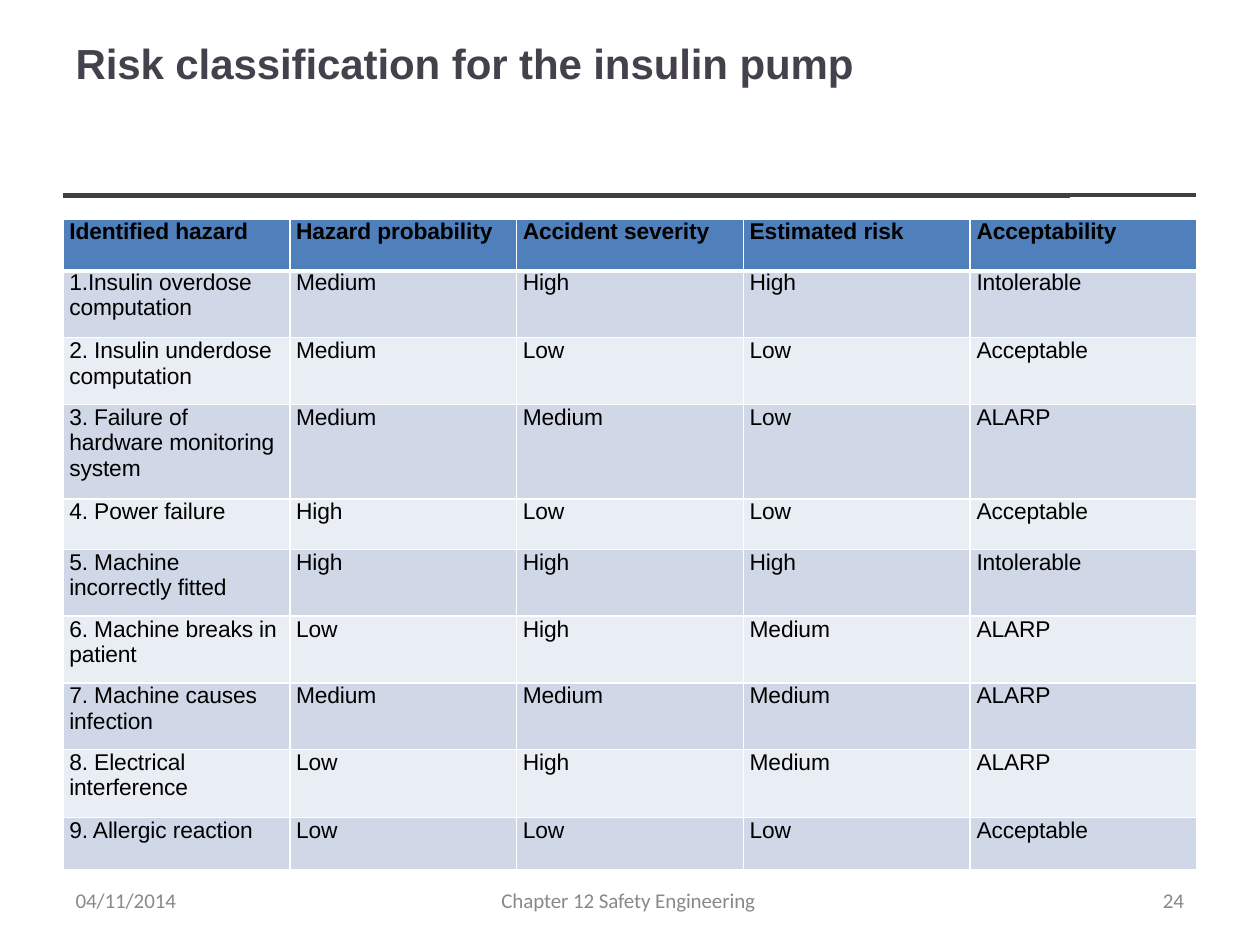
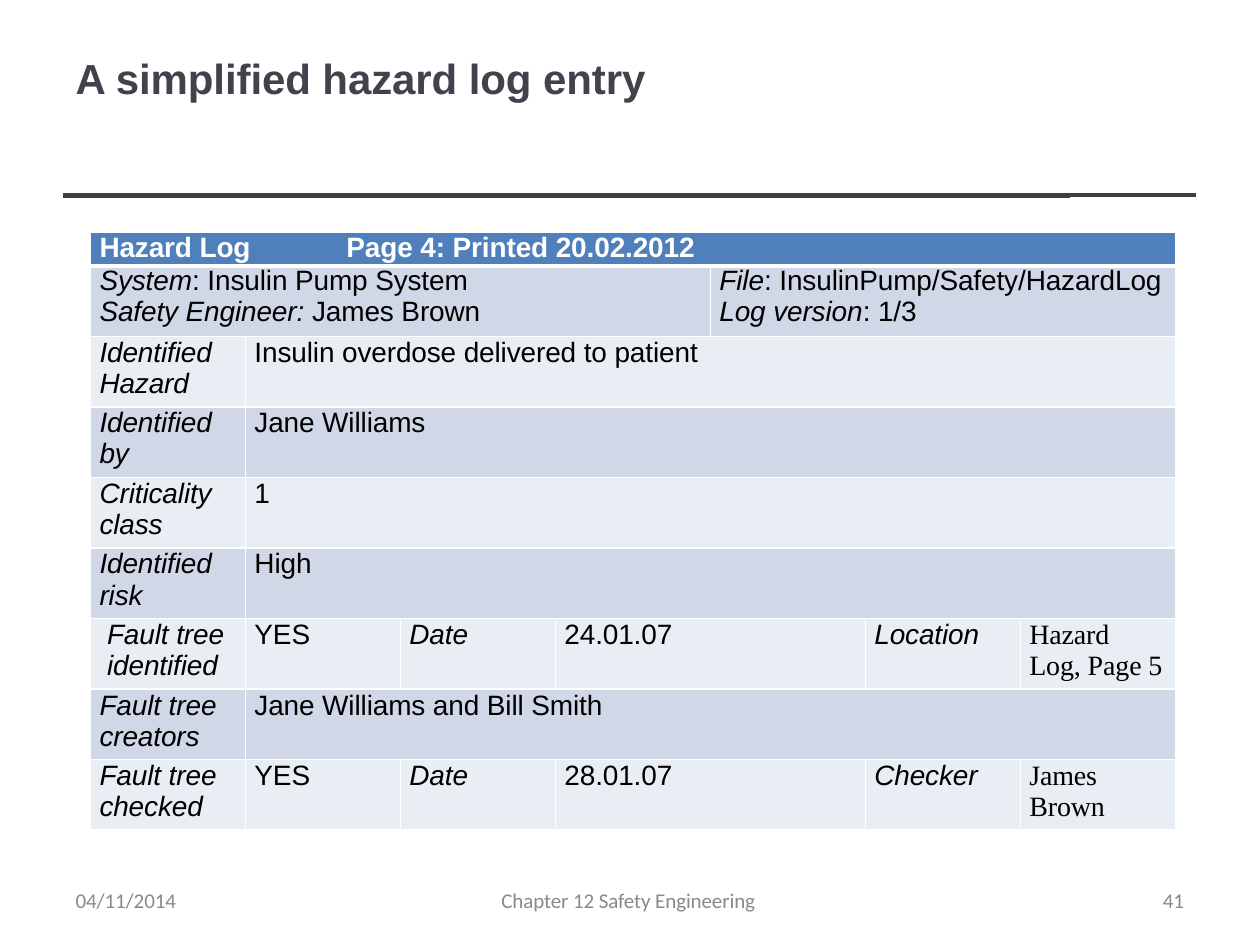
from pptx import Presentation
from pptx.dml.color import RGBColor
from pptx.enum.shapes import MSO_CONNECTOR as Link
from pptx.enum.text import MSO_ANCHOR as Anchor, PP_ALIGN as Align
from pptx.oxml.ns import qn
from pptx.util import Inches, Pt
from lxml.etree import SubElement as Sub

INK, WHITE, GREY = "000000", "FFFFFF", "898989"
HEAD, DARK, PALE = "4F80BC", "D0D8E8", "E9EDF4"
TITLE, RULE = "45414C", "3F3F3F"
ARIAL, TIMES, CALIBRI = "Arial", "Times New Roman", "Calibri"

RISKS = [
    ["Identified hazard", "Hazard probability", "Accident severity", "Estimated risk", "Acceptability"],
    ["1.Insulin overdose\ncomputation", "Medium", "High", "High", "Intolerable"],
    ["2. Insulin underdose\ncomputation", "Medium", "Low", "Low", "Acceptable"],
    ["3. Failure of\nhardware monitoring system", "Medium", "Medium", "Low", "ALARP"],
    ["4. Power failure", "High", "Low", "Low", "Acceptable"],
    ["5. Machine\nincorrectly fitted", "High", "High", "High", "Intolerable"],
    ["6. Machine breaks in\npatient", "Low", "High", "Medium", "ALARP"],
    ["7. Machine causes\ninfection", "Medium", "Medium", "Medium", "ALARP"],
    ["8. Electrical\ninterference", "Low", "High", "Medium", "ALARP"],
    ["9. Allergic reaction", "Low", "Low", "Low", "Acceptable"],
]

WIDE, SPLIT = [1, 6], [1, 1, 1, 2, 1, 1]
LOG = [
    ([7], ["Hazard Log\tPage 4: Printed 20.02.2012"]),
    ([4, 3], ["*System*: Insulin Pump System\n*Safety Engineer: *James Brown",
              "*File*: InsulinPump/Safety/HazardLog\n*Log version*: 1/3"]),
    (WIDE, ["*Identified*\n*Hazard*", "Insulin overdose delivered to patient"]),
    (WIDE, ["*Identified*\n*by*", "Jane Williams"]),
    (WIDE, ["*Criticality*\n*class*", "1"]),
    (WIDE, ["*Identified*\n*risk*", "High"]),
    (SPLIT, ["*Fault tree*\n*identified*", "YES", "*Date*", "24.01.07", "*Location*", "Hazard\nLog, Page 5"]),
    (WIDE, ["*Fault tree*\n*creators*", "Jane Williams and Bill Smith"]),
    (SPLIT, ["*Fault tree*\n*checked*", "YES", "*Date*", "28.01.07", "*Checker*", "James\nBrown"]),
]


def rgb(code):
    return RGBColor.from_string(code)


def put(thing, **values):
    for name, value in values.items():
        setattr(thing, name, value)


def write(frame, text, color, lead=None, **font):
    for i, line in enumerate(text.split("\n")):
        par = frame.paragraphs[0] if i == 0 else frame.add_paragraph()
        par.alignment = Align.LEFT
        if lead and i == 0:
            par.line_spacing = Pt(lead)
        for j, part in enumerate(line.split("*")):
            if part:
                run = par.add_run()
                run.text = part
                put(run.font, italic=j % 2 == 1, **font)
                run.font.color.rgb = rgb(color)
                run.font._element.set("spc", "-5")


def clear(frame):
    put(frame, margin_left=Inches(0.01), margin_right=0, margin_top=0,
        margin_bottom=0, word_wrap=True, vertical_anchor=Anchor.TOP)


def title(slide, text, top, width):
    shape = slide.shapes.title
    put(shape, left=Inches(0.59), top=Inches(top), width=Inches(width), height=Inches(0.41))
    clear(shape.text_frame)
    write(shape.text_frame, text, TITLE, size=Pt(24), name=ARIAL, bold=True)


def rules(slide):
    for end, y in ((8.49, 1.56), (9.49, 1.55)):
        line = slide.shapes.add_connector(
            Link.STRAIGHT, Inches(0.5), Inches(y), Inches(end), Inches(y))
        line.line.color.rgb = rgb(RULE)
        line.line.width = Pt(2.16)
        Sub(line._element.spPr, qn("a:effectLst"))


def footer(slide, number):
    parts = ((0.59, 0.85, "04/11/2014"), (3.97, 2.1, "Chapter 12 Safety Engineering"),
             (9.22, 0.25, number))
    for left, width, text in parts:
        box = slide.shapes.add_textbox(Inches(left), Inches(7.07), Inches(width), Inches(0.19))
        clear(box.text_frame)
        write(box.text_frame, text, GREY, 12.4, size=Pt(12), name=CALIBRI)


def edge(cell, row):
    props = cell._tc.get_or_add_tcPr()
    for side in "LRTB":
        thick = (row, side) in ((0, "B"), (1, "T"))
        line = Sub(props, qn("a:ln" + side), w=str(Pt(3 if thick else 1)))
        fill = Sub(line, qn("a:solidFill"))
        Sub(fill, qn("a:srgbClr"), val=WHITE)


def grid(slide, left, top, width, cols, rows, pad):
    shape = slide.shapes.add_table(
        len(rows), cols, Inches(left), Inches(top), Inches(width), Inches(sum(rows)))
    table = shape.table
    put(table, first_row=False, horz_banding=False)
    for col in table.columns:
        col.width = Inches(width / cols)
    for r, high in enumerate(rows):
        table.rows[r].height = Inches(high)
        for cell in table.rows[r].cells:
            put(cell, margin_left=Inches(pad), margin_right=0, margin_top=0, margin_bottom=0)
            edge(cell, r)
            cell.fill.solid()
            cell.fill.fore_color.rgb = rgb(HEAD if r == 0 else DARK if r % 2 else PALE)
    return table


def risk(deck):
    slide = page(deck, "Risk classification for the insulin pump", 0.3, 6.25, "24")
    highs = [0.41, 0.53, 0.53, 0.75, 0.4, 0.53, 0.53, 0.53, 0.54, 0.41]
    table = grid(slide, 0.5, 1.74, 9, 5, highs, 0.05)
    for r, row in enumerate(RISKS):
        lead = {0: None, 1: 13.7}.get(r, 14.7)
        for c, text in enumerate(row):
            write(table.cell(r, c).text_frame, text, INK, lead,
                  size=Pt(13), name=ARIAL, bold=r == 0)


def log(deck):
    slide = page(deck, "A simplified hazard log entry", 0.42, 4.6, "41")
    table = grid(slide, 0.72, 1.84, 8.61, 7, [0.27] + [0.56] * 8, 0.07)
    for r, (spans, texts) in enumerate(LOG):
        c = 0
        for span, text in zip(spans, texts):
            cell = table.cell(r, c)
            if span > 1:
                cell.merge(table.cell(r, c + span - 1))
            name = TIMES if spans is SPLIT and c == 6 else ARIAL
            write(cell.text_frame, text, INK if r else WHITE, 17.2 if r == 1 else 18.2,
                  size=Pt(16), name=name, bold=r == 0)
            c += span
    table.cell(6, 0).margin_left = Inches(0.13)
    props = table.cell(0, 0).text_frame.paragraphs[0]._p.get_or_add_pPr()
    Sub(Sub(props, qn("a:tabLst")), qn("a:tab"), pos=str(Inches(1.96)), algn="l")


def page(deck, text, top, width, number):
    slide = deck.slides.add_slide(deck.slide_layouts[5])
    rules(slide)
    title(slide, text, top, width)
    footer(slide, number)
    return slide


def main():
    deck = Presentation()
    put(deck, slide_width=Inches(10), slide_height=Inches(7.5))
    risk(deck)
    log(deck)
    deck.save("out.pptx")


if __name__ == "__main__":
    main()
